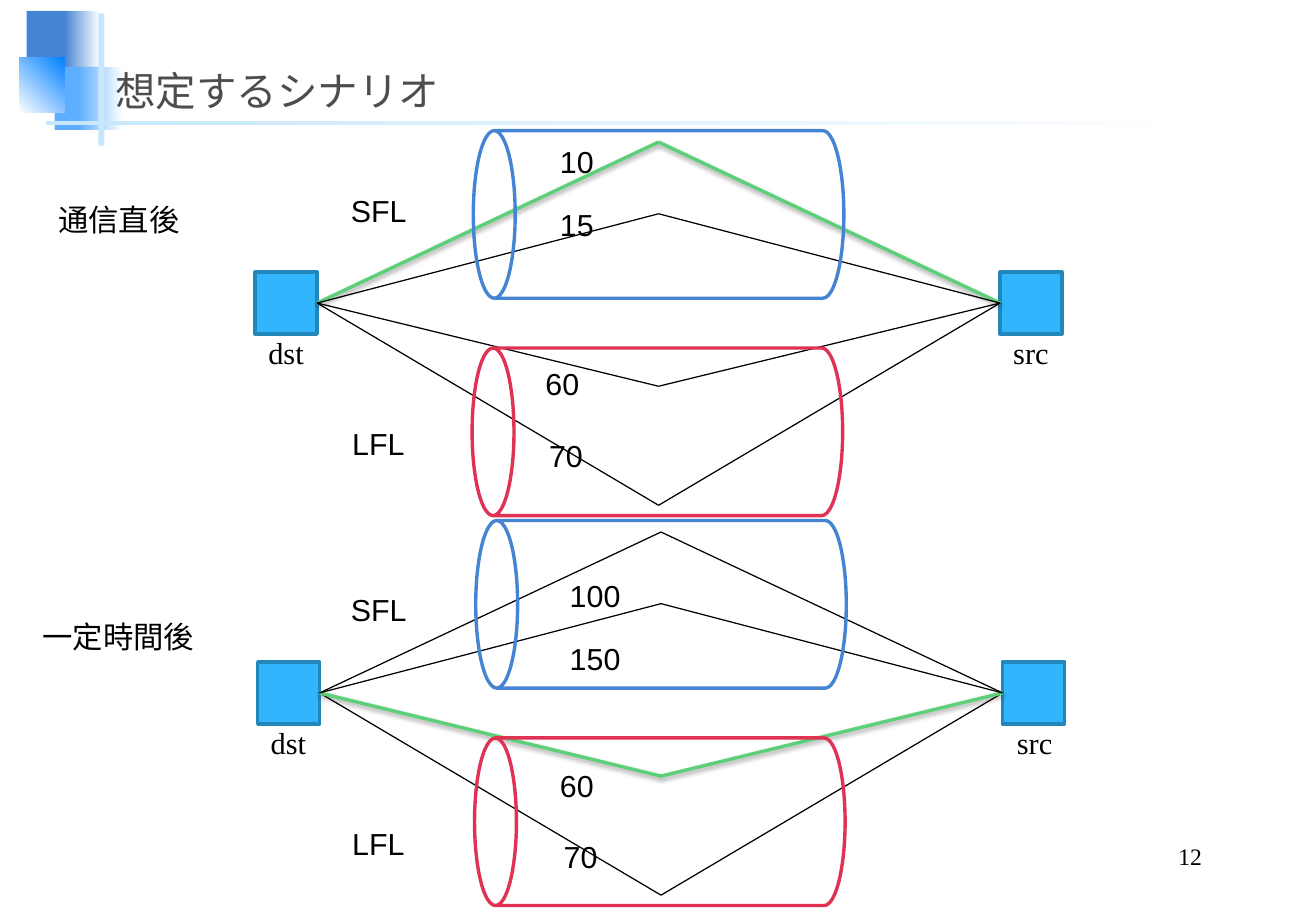
import pptx
import pptx.util
from lxml import etree
from pptx.dml.color import RGBColor
from pptx.enum.shapes import MSO_CONNECTOR, MSO_SHAPE
from pptx.enum.text import MSO_ANCHOR, MSO_AUTO_SIZE, PP_ALIGN
from pptx.oxml.ns import qn

Inches, Pt = pptx.util.Inches, pptx.util.Pt

THEME = {
    "blue": "4584D3", "light_blue": "5EAEFF", "vivid_blue": "0080FF",
    "pale_blue": "C6E7FC", "white": "FFFFFF", "black": "000000",
    "title": "4D4D4D", "node": "31B6FD", "node_line": "2487BB",
    "active": "5BD078", "red": "E03253",
    "title_size": 24, "label_size": 18, "number_size": 14,
    "serif": "Times New Roman", "sans": "Arial",
}


def add_box(kind, x, y, w, h, fill=None, line=None):
    """Add a preset shape; fill is a colour name, or (start, end, angle) for a gradient."""
    sp = s.shapes.add_shape(kind, Inches(x), Inches(y), Inches(w), Inches(h))
    sp.shadow.inherit = False
    if isinstance(fill, tuple):
        sp.fill.gradient()
        sp.fill.gradient_angle = fill[2]
        for stop, name in zip(sp.fill.gradient_stops, fill):
            stop.color.rgb = RGBColor.from_string(THEME[name])
    elif fill:
        sp.fill.solid()
        sp.fill.fore_color.rgb = RGBColor.from_string(THEME[fill])
    else:
        sp.fill.background()
    if line:
        sp.line.color.rgb = RGBColor.from_string(THEME[line])
        sp.line.width = Pt(2)
    else:
        sp.line.fill.background()
    return sp


def write(sp, text, size="label_size", font="sans", color="black"):
    """Put one formatted run into the first paragraph of a shape."""
    p = sp.text_frame.paragraphs[0]
    r = p.add_run()
    r.text = text
    r.font.size = Pt(THEME[size])
    r.font.name = THEME[font]
    r.font.color.rgb = RGBColor.from_string(THEME[color])
    return p


prs = pptx.Presentation()
prs.slide_width, prs.slide_height = Inches(10.83), Inches(7.5)
s = prs.slides.add_slide(prs.slide_layouts[5])

# Corner ornament and title rule
for x, y, w, h, fill in [
    (0.22, 0.09, 0.35, 0.52, "blue"),
    (0.53, 0.09, 0.29, 0.52, ("blue", "white", 0)),
    (0.45, 0.55, 0.41, 0.52, "light_blue"),
    (0.65, 0.55, 0.36, 0.52, ("light_blue", "white", 0)),
    (0.16, 0.47, 0.37, 0.46, ("white", "vivid_blue", 45)),
    (0.81, 0.11, 0.05, 1.09, "pale_blue"),
    (0.38, 1.0, 9.75, 0.03, ("pale_blue", "white", 0)),
]:
    add_box(MSO_SHAPE.RECTANGLE, x, y, w, h, fill)

title = s.shapes.title
title.left, title.top, title.width, title.height = map(Inches, (0.85, 0.36, 9.29, 0.63))
title.text_frame.vertical_anchor = MSO_ANCHOR.BOTTOM
write(title, "想定するシナリオ", "title_size", "serif", "title").alignment = PP_ALIGN.LEFT
# Bring the title in front of the ornament
s.shapes._spTree.append(title._element)

number = s.shapes.add_textbox(Inches(7.73), Inches(6.9), Inches(2.26), Inches(0.31))
number.text_frame.word_wrap = True
number.text_frame.vertical_anchor = MSO_ANCHOR.BOTTOM
write(number, "12", "number_size", "serif").alignment = PP_ALIGN.RIGHT

# Two scenarios with the same network; only the active route (by its bend) differs
BENDS = (1.17, 4.16, 3.18, 1.76)
for dx, dy, active in [(0, 0, 1.17), (0.02, 3.21, 3.18)]:
    dst, src = [
        add_box(MSO_SHAPE.RECTANGLE, x + dx, 2.24 + dy, 0.51, 0.51, "node", "node_line")
        for x in (2.1, 8.23)
    ]
    for bend in BENDS:
        x, y = Inches(5.42 + dx), Inches(bend + dy)
        for node in (dst, src):
            line = s.shapes.add_connector(MSO_CONNECTOR.STRAIGHT, x, y, x, y)
            if node is dst:
                line.begin_connect(dst, 3)
            else:
                line.end_connect(src, 1)
            is_active = bend == active
            line.line.color.rgb = RGBColor.from_string(THEME["active" if is_active else "black"])
            line.line.width = Pt(2 if is_active else 0.75)
            effects = etree.SubElement(line._element.spPr, qn("a:effectLst"))
            if is_active:
                shadow = etree.SubElement(effects, qn("a:outerShdw"), blurRad="40000",
                                          dist="20000", dir="5400000", rotWithShape="0")
                color = etree.SubElement(shadow, qn("a:srgbClr"), val=THEME["black"])
                etree.SubElement(color, qn("a:alpha"), val="38000")
    for x, y, color in [(4.73, 0.24, "blue"), (4.72, 2.03, "red")]:
        add_box(MSO_SHAPE.CAN, x + dx, y + dy, 1.38, 3.05, line=color).rotation = 270

LABELS = [
    ("dst", 2.11, 2.7, 0.5, "serif"), ("src", 8.24, 2.7, 0.5, "serif"),
    ("dst", 2.13, 5.91, 0.5, "serif"), ("src", 8.27, 5.91, 0.5, "serif"),
    ("SFL", 2.79, 1.53, 0.66, "sans"), ("LFL", 2.8, 3.45, 0.64, "sans"),
    ("SFL", 2.79, 4.82, 0.66, "sans"), ("LFL", 2.8, 6.74, 0.64, "sans"),
    ("通信直後", 0.38, 1.61, 1.21, "sans"), ("一定時間後", 0.25, 5.04, 1.46, "sans"),
    ("10", 4.51, 1.13, 0.48, "sans"), ("15", 4.51, 1.65, 0.48, "sans"),
    ("60", 4.39, 2.96, 0.48, "sans"), ("70", 4.42, 3.55, 0.48, "sans"),
    ("100", 4.59, 4.7, 0.62, "sans"), ("150", 4.59, 5.22, 0.62, "sans"),
    ("60", 4.51, 6.27, 0.48, "sans"), ("70", 4.54, 6.85, 0.48, "sans"),
]
for text, x, y, w, font in LABELS:
    label = s.shapes.add_textbox(Inches(x), Inches(y), Inches(w), Inches(0.4))
    label.text_frame.word_wrap = False
    label.text_frame.auto_size = MSO_AUTO_SIZE.SHAPE_TO_FIT_TEXT
    write(label, text, font=font)

prs.save("out.pptx")
